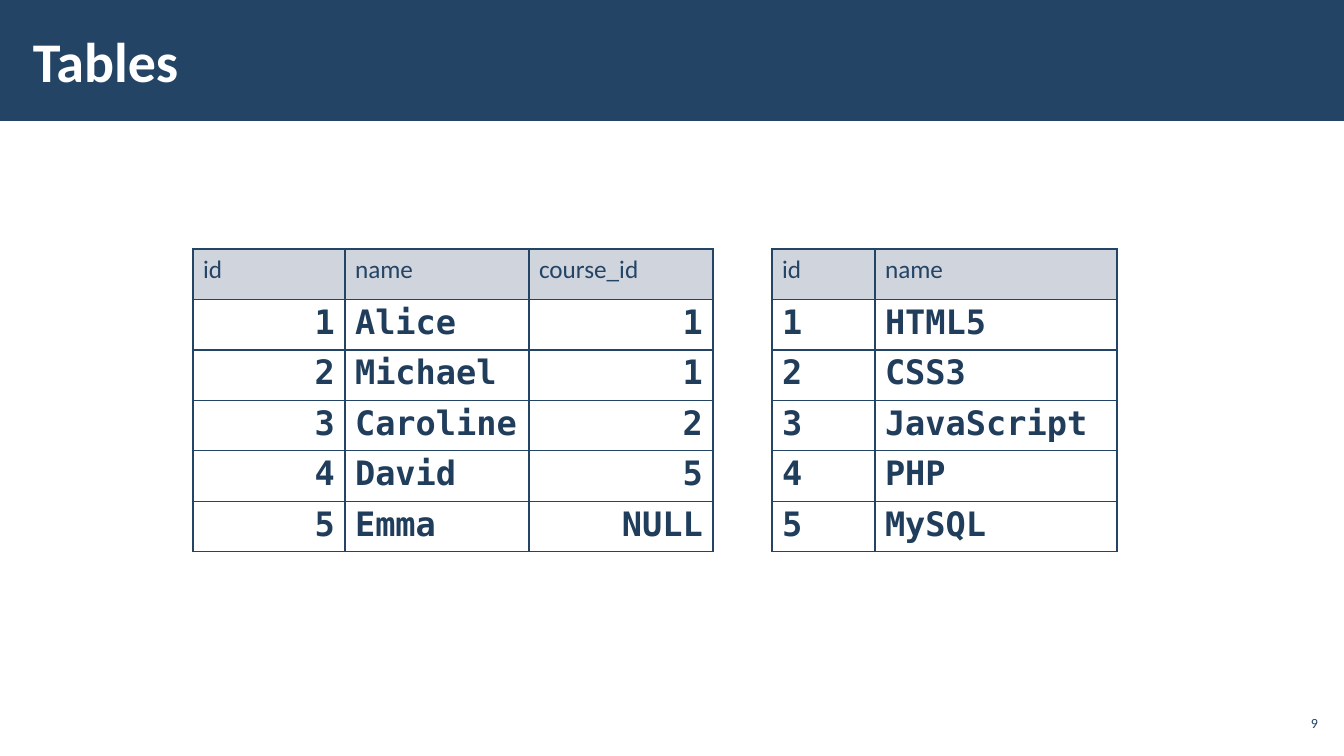
"""Build the "Tables" slide with a student table and a course table."""
from lxml import etree
from pptx import Presentation
from pptx.dml.color import RGBColor
from pptx.enum.shapes import MSO_SHAPE
from pptx.enum.text import MSO_ANCHOR, MSO_AUTO_SIZE, PP_ALIGN
from pptx.oxml.ns import qn
from pptx.util import Pt

RECTANGLE = MSO_SHAPE.RECTANGLE
MIDDLE = MSO_ANCHOR.MIDDLE
NO_AUTOFIT = MSO_AUTO_SIZE.NONE
LEFT, RIGHT = PP_ALIGN.LEFT, PP_ALIGN.RIGHT

EMU_PER_PX = 914400 / 100.8
NAVY = "234465"

TITLE_FORMAT = {"name": "Calibri", "size": Pt(40), "bold": True}
NUMBER_FORMAT = {"name": "Calibri", "size": Pt(10), "bold": False}
HEADER_FORMAT = {"name": "Calibri", "size": Pt(18), "bold": False}
VALUE_FORMAT = {"name": "DejaVu Sans Mono", "size": Pt(24), "bold": True}


def px(length):
    return round(length * EMU_PER_PX)


def paint(color_format, color):
    color_format.rgb = RGBColor.from_string(color)


presentation = Presentation()
presentation.slide_width, presentation.slide_height = px(1344), px(756)
slide = presentation.slides.add_slide(presentation.slide_layouts[5])

title = slide.shapes.title
title.left, title.top, title.width, title.height = px(21), px(11), px(1047), px(98)

band = slide.shapes.add_shape(RECTANGLE, 0, 0, px(1344), px(121))
band.shadow.inherit = False
band.fill.solid()
paint(band.fill.fore_color, NAVY)
band.line.fill.background()
title.element.addprevious(band.element)

slide_number = slide.shapes.add_textbox(px(1275), px(706), px(47), px(34))

for shape, text, side_margin, alignment, font_format, color in (
    (title, "Tables", 12, LEFT, TITLE_FORMAT, "FFFFFF"),
    (slide_number, "9", 4, RIGHT, NUMBER_FORMAT, NAVY),
):
    frame = shape.text_frame
    frame_format = {
        "text": text,
        "word_wrap": True,
        "auto_size": NO_AUTOFIT,
        "vertical_anchor": MIDDLE,
        "margin_left": px(side_margin),
        "margin_right": px(side_margin),
        "margin_top": px(4),
        "margin_bottom": px(4),
    }
    for name, value in frame_format.items():
        setattr(frame, name, value)
    paragraph = frame.paragraphs[0]
    paragraph.alignment = alignment
    for name, value in font_format.items():
        setattr(paragraph.font, name, value)
    paint(paragraph.font.color, color)

students = [
    ("id", "name", "course_id"),
    ("1", "Alice", "1"),
    ("2", "Michael", "1"),
    ("3", "Caroline", "2"),
    ("4", "David", "5"),
    ("5", "Emma", "NULL"),
]
courses = [
    ("id", "name"),
    ("1", "HTML5"),
    ("2", "CSS3"),
    ("3", "JavaScript"),
    ("4", "PHP"),
    ("5", "MySQL"),
]

for left, column_widths, alignments, rows in (
    (193, (152, 184, 184), (RIGHT, LEFT, RIGHT), students),
    (772, (103, 242), (LEFT, LEFT), courses),
):
    table = slide.shapes.add_table(
        len(rows), len(column_widths), px(left), px(249), px(sum(column_widths)), px(303)
    ).table
    table.first_row = table.horz_banding = False
    for column, width in zip(table.columns, column_widths):
        column.width = px(width)

    for row_index, row in enumerate(rows):
        is_header = row_index == 0
        for column_index, text in enumerate(row):
            cell = table.cell(row_index, column_index)
            cell.text = text
            properties = cell._tc.get_or_add_tcPr()
            for side in ("a:lnL", "a:lnR", "a:lnT", "a:lnB"):
                border = etree.SubElement(properties, qn(side), w=str(Pt(1)))
                border_fill = etree.SubElement(border, qn("a:solidFill"))
                etree.SubElement(border_fill, qn("a:srgbClr"), val=NAVY)

            paragraph = cell.text_frame.paragraphs[0]
            if is_header:
                cell.fill.solid()
                paint(cell.fill.fore_color, "A3ABBC")
                fill_color = properties.find(".//" + qn("a:srgbClr") + "[@val='A3ABBC']")
                etree.SubElement(fill_color, qn("a:alpha"), val="50000")
            else:
                cell.fill.background()
                paragraph.alignment = alignments[column_index]
                paragraph.line_spacing = 0.95

            for name, value in (HEADER_FORMAT if is_header else VALUE_FORMAT).items():
                setattr(paragraph.font, name, value)
            paint(paragraph.font.color, NAVY if is_header else "203D5B")

presentation.save("out.pptx")
